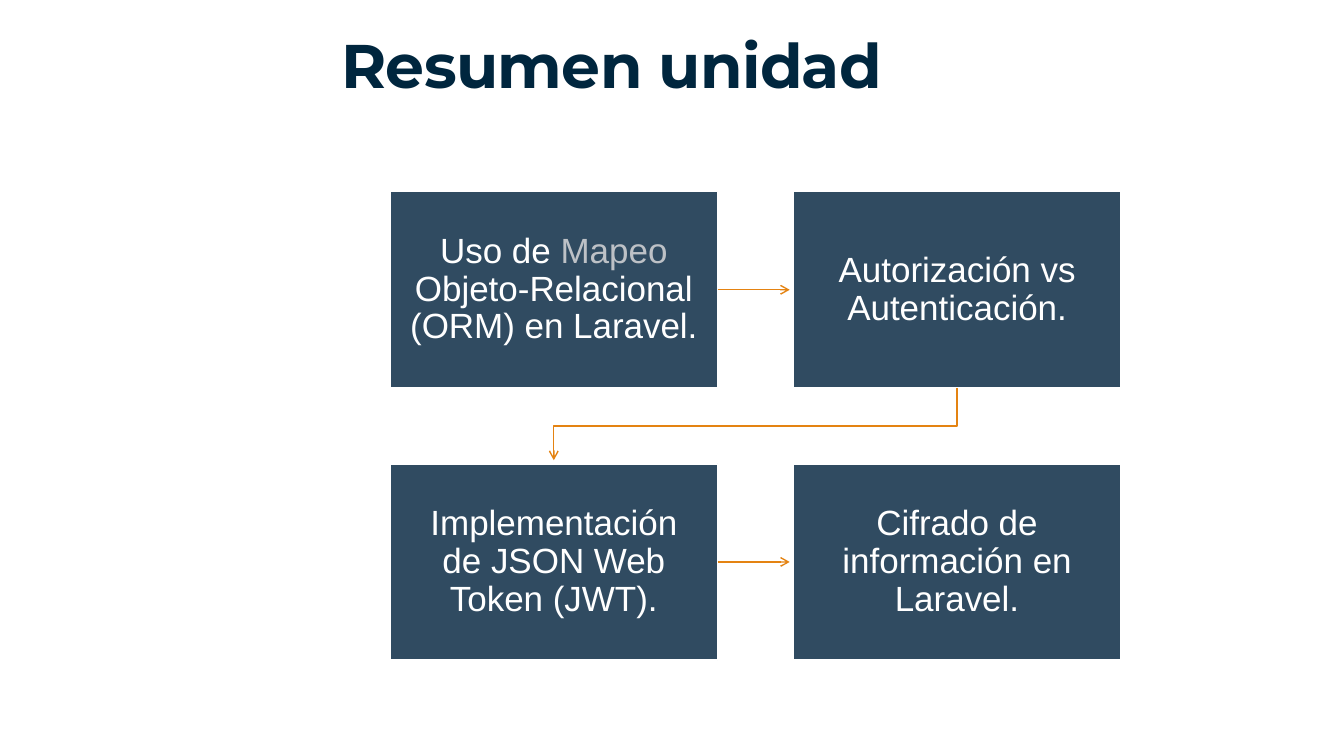
import pptx
import pptx.dml.color
import pptx.enum.shapes
import pptx.enum.text
import pptx.oxml
import pptx.oxml.ns
import pptx.util

Pt = pptx.util.Pt
RGBColor = pptx.dml.color.RGBColor
CENTER = pptx.enum.text.PP_ALIGN.CENTER
MIDDLE = pptx.enum.text.MSO_ANCHOR.MIDDLE

NAVY = RGBColor(0x00, 0x26, 0x3E)
SLATE = RGBColor(0x30, 0x4B, 0x61)
ORANGE = RGBColor(0xE4, 0x83, 0x12)
GRAY = RGBColor(0xBD, 0xC1, 0xC6)
WHITE = RGBColor(0xFF, 0xFF, 0xFF)

# Grid of topic boxes, in points
LEFT, TOP = 278.6, 136.8
WIDTH, HEIGHT = 234, 140.4
STEP_X, STEP_Y = 288, 194.4
COLUMNS = 2
GAP = 2.5  # space between an arrowhead and its box

TOPICS = [
    [("Uso de ", WHITE), ("Mapeo ", GRAY),
     ("Objeto-Relacional (ORM) en Laravel.", WHITE)],
    [("Autorización vs Autenticación.", WHITE)],
    [("Implementación de JSON Web Token (JWT).", WHITE)],
    [("Cifrado de información en Laravel.", WHITE)],
]


def apply_format(target, values):
    for name, value in values.items():
        setattr(target, name, value)


def add_span(para, text, color, values):
    span = para.add_run()
    span.text = text
    apply_format(span.font, values)
    span.font.color.rgb = color
    return span


def set_title(page, text):
    title = page.shapes.title
    apply_format(title, {"left": Pt(38.9), "top": Pt(25.9),
                         "width": Pt(796.3), "height": Pt(47.5)})
    apply_format(title.text_frame, {
        "auto_size": pptx.enum.text.MSO_AUTO_SIZE.NONE,
        "vertical_anchor": MIDDLE, "word_wrap": True})
    para = title.text_frame.paragraphs[0]
    apply_format(para, {"alignment": CENTER, "line_spacing": 0.85})
    span = add_span(para, text, NAVY,
                    {"name": "Montserrat", "size": Pt(44), "bold": True})
    span.font._element.set("spc", "-50")


def add_topic(page, left, top, spans):
    box = page.shapes.add_shape(pptx.enum.shapes.MSO_SHAPE.RECTANGLE,
                                Pt(left), Pt(top), Pt(WIDTH), Pt(HEIGHT))
    box.shadow.inherit = False
    box.fill.solid()
    box.fill.fore_color.rgb = SLATE
    box.line.color.rgb = WHITE
    box.line.width = Pt(1.25)
    margins = ("margin_left", "margin_top", "margin_right", "margin_bottom")
    apply_format(box.text_frame, dict.fromkeys(margins, Pt(13.7)))
    apply_format(box.text_frame, {"word_wrap": True, "vertical_anchor": MIDDLE})
    para = box.text_frame.paragraphs[0]
    apply_format(para, {"alignment": CENTER, "line_spacing": 0.9})
    for text, color in spans:
        add_span(para, text, color, {"name": "Arial", "size": Pt(25)})


def style_arrow(arrow):
    arrow.line.color.rgb = ORANGE
    arrow.line.width = Pt(1)
    line = arrow.line._get_or_add_ln()
    head = pptx.oxml.parse_xml(
        f'<a:tailEnd {pptx.oxml.ns.nsdecls("a")} type="arrow"/>')
    line.append(head)


def add_straight_arrow(page, left, right, level):
    arrow = page.shapes.add_connector(
        pptx.enum.shapes.MSO_CONNECTOR.STRAIGHT,
        Pt(left), Pt(level), Pt(right), Pt(level))
    style_arrow(arrow)
    arrow._element.spPr.append(pptx.oxml.parse_xml(
        f'<a:effectLst {pptx.oxml.ns.nsdecls("a")}/>'))


def add_bent_arrow(page, points):
    corners = [(Pt(x), Pt(y)) for x, y in points]
    builder = page.shapes.build_freeform(*corners[0])
    builder.add_line_segments(corners[1:], close=False)
    arrow = builder.convert_to_shape()
    arrow.fill.background()
    arrow.shadow.inherit = False
    style_arrow(arrow)


def main():
    deck = pptx.Presentation()
    deck.slide_width, deck.slide_height = Pt(960), Pt(540)
    page = deck.slides.add_slide(deck.slide_layouts[5])
    set_title(page, "Resumen unidad")

    # Topic boxes, with an arrow across each row
    for index, spans in enumerate(TOPICS):
        row, column = divmod(index, COLUMNS)
        left, top = LEFT + column * STEP_X, TOP + row * STEP_Y
        add_topic(page, left, top, spans)
        if column < COLUMNS - 1:
            add_straight_arrow(page, left + WIDTH, left + STEP_X - GAP,
                               top + HEIGHT / 2)

    # Arrow from the end of the first row to the start of the second
    start_x, end_x = LEFT + STEP_X + WIDTH / 2, LEFT + WIDTH / 2
    start_y, end_y = TOP + HEIGHT, TOP + STEP_Y - GAP
    middle_y = (TOP + HEIGHT + TOP + STEP_Y) / 2
    add_bent_arrow(page, [(start_x, start_y), (start_x, middle_y),
                          (end_x, middle_y), (end_x, end_y)])

    deck.save("out.pptx")


if __name__ == "__main__":
    main()
